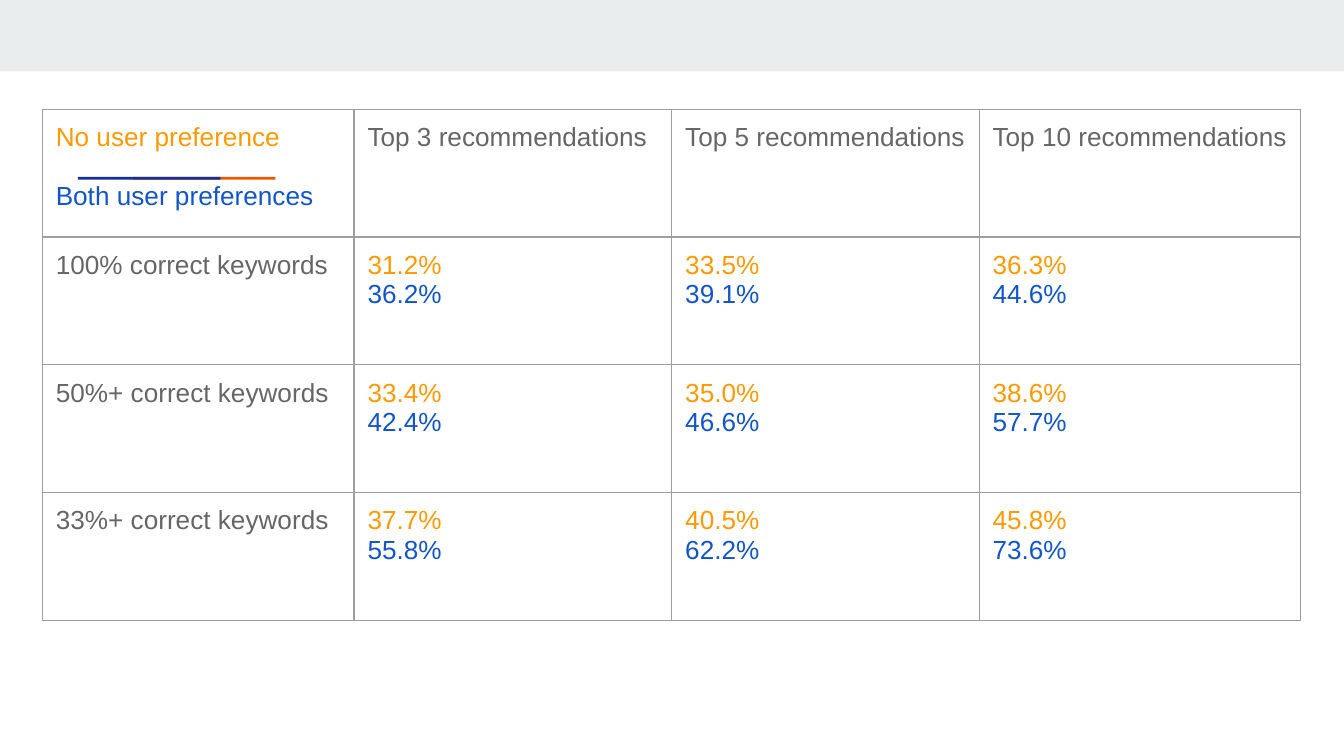
from dataclasses import dataclass

from lxml import etree
from pptx import Presentation
from pptx.dml.color import RGBColor
from pptx.enum.shapes import MSO_SHAPE
from pptx.oxml.ns import qn
from pptx.util import Inches, Pt

RECTANGLE = MSO_SHAPE.RECTANGLE
BLANK_LAYOUT = 6
SLIDE_WIDTH = Inches(10)
SLIDE_HEIGHT = SLIDE_WIDTH * 9 // 16


@dataclass(frozen=True)
class Theme:
    band: str = "E9EDEE"
    accent_orange: str = "EB5600"
    accent_blue: str = "143099"
    no_preference: str = "FF9900"
    both_preferences: str = "1155CC"
    label: str = "666666"
    border: str = "9E9E9E"
    font: str = "Arial"
    text_size: int = 14
    border_width: float = 0.75


THEME = Theme()
TEXT_FORMAT = {"name": THEME.font, "size": Pt(THEME.text_size), "bold": False}
TABLE_FORMAT = {"first_row": False, "horz_banding": False}
CELL_FORMAT = {
    f"margin_{side}": Inches(0.1) for side in ("left", "right", "top", "bottom")
}
KEY_GAP = Pt(16)

# Shares of the slide, in percent
COLUMN_SHARES = (23.2, 23.64, 22.87, 23.9)
ROW_SHARE = 16.9
TABLE_LEFT, TABLE_TOP = 3.15, 14.47
ACCENTS = ((9.9, THEME.accent_orange), (5.8, THEME.accent_blue))

KEY = ("No user preference", "Both user preferences")
HEADINGS = [f"Top {count} recommendations" for count in (3, 5, 10)]
RESULTS = {
    "100% correct keywords": [(31.2, 36.2), (33.5, 39.1), (36.3, 44.6)],
    "50%+ correct keywords": [(33.4, 42.4), (35.0, 46.6), (38.6, 57.7)],
    "33%+ correct keywords": [(37.7, 55.8), (40.5, 62.2), (45.8, 73.6)],
}


def across(share):
    return round(SLIDE_WIDTH * share / 100)


def down(share):
    return round(SLIDE_HEIGHT * share / 100)


def apply_format(target, values):
    for name, value in values.items():
        setattr(target, name, value)


def add_bar(slide, left, top, width, height, color):
    bar = slide.shapes.add_shape(
        RECTANGLE, across(left), down(top), across(width), down(height)
    )
    bar.shadow.inherit = False
    bar.fill.solid()
    bar.fill.fore_color.rgb = RGBColor.from_string(color)
    bar.line.fill.background()


def add_borders(cell):
    properties = cell._tc.get_or_add_tcPr()
    for position, side in enumerate(("lnL", "lnR", "lnT", "lnB")):
        line = etree.Element(qn(f"a:{side}"), w=str(Pt(THEME.border_width)))
        fill = etree.SubElement(line, qn("a:solidFill"))
        etree.SubElement(fill, qn("a:srgbClr"), val=THEME.border)
        properties.insert(position, line)


def fill_cell(cell, lines, gap=0):
    """Write (text, color) lines, with a gap before each line after the first."""
    apply_format(cell, CELL_FORMAT)
    cell.fill.background()
    add_borders(cell)
    frame = cell.text_frame
    for index, (text, color) in enumerate(lines):
        paragraph = frame.add_paragraph() if index else frame.paragraphs[0]
        if index and gap:
            paragraph.space_before = gap
        run = paragraph.add_run()
        run.text = text
        apply_format(run.font, TEXT_FORMAT)
        run.font.color.rgb = RGBColor.from_string(color)


def add_results_table(slide):
    row_count = len(RESULTS) + 1
    table = slide.shapes.add_table(
        row_count, len(COLUMN_SHARES), across(TABLE_LEFT), down(TABLE_TOP),
        across(sum(COLUMN_SHARES)), down(ROW_SHARE * row_count),
    ).table
    apply_format(table, TABLE_FORMAT)
    for column, share in zip(table.columns, COLUMN_SHARES):
        column.width = across(share)
    for row in table.rows:
        row.height = down(ROW_SHARE)

    pair_colors = (THEME.no_preference, THEME.both_preferences)
    fill_cell(table.cell(0, 0), zip(KEY, pair_colors), KEY_GAP)
    for column, heading in enumerate(HEADINGS, 1):
        fill_cell(table.cell(0, column), [(heading, THEME.label)])
    for row, (label, pairs) in enumerate(RESULTS.items(), 1):
        fill_cell(table.cell(row, 0), [(label, THEME.label)])
        for column, pair in enumerate(pairs, 1):
            rates = [f"{rate:.1f}%" for rate in pair]
            fill_cell(table.cell(row, column), zip(rates, pair_colors))


def main():
    deck = Presentation()
    deck.slide_width, deck.slide_height = SLIDE_WIDTH, SLIDE_HEIGHT
    slide = deck.slides.add_slide(deck.slide_layouts[BLANK_LAYOUT])
    add_bar(slide, 0, 0, 100, 9.45, THEME.band)
    for left, color in ACCENTS:
        add_bar(slide, left, 23.4, 10.6, 0.38, color)
    add_results_table(slide)
    deck.save("out.pptx")


if __name__ == "__main__":
    main()
